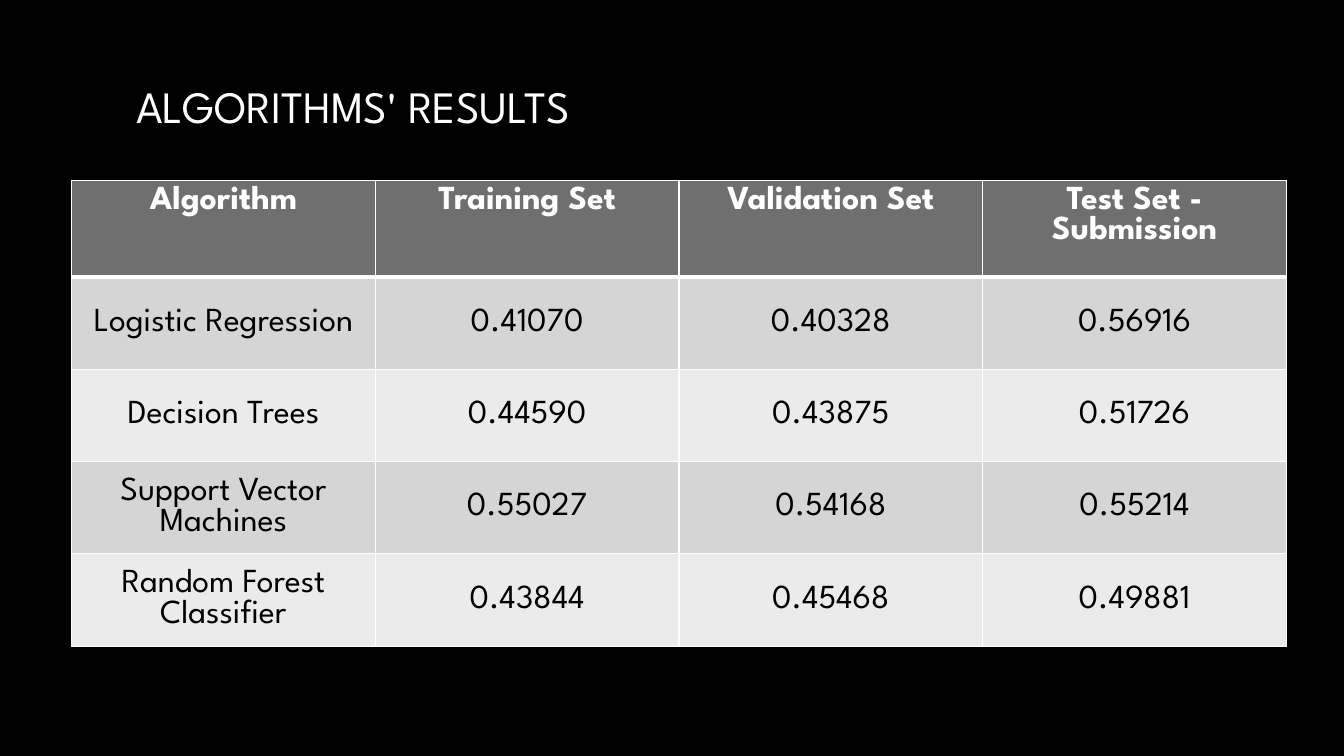
import pptx
import pptx.dml.color
import pptx.enum.text
import pptx.oxml
import pptx.oxml.ns
import pptx.util
from pptx.util import Inches

FONT = "League Spartan"
COLORS = {
    "background": "000000",
    "white": "FFFFFF",
    "black": "000000",
    "header": "6F6F6F",
    "odd_row": "D5D5D5",
    "even_row": "EBEBEB",
}
TITLE_FORMAT = {"name": FONT, "size": pptx.util.Pt(32), "bold": False}
HEADER_FORMAT = {"name": FONT, "size": pptx.util.Pt(24), "bold": True}
BODY_FORMAT = {**HEADER_FORMAT, "bold": False}

RESULTS = [
    ["Algorithm", "Training Set", "Validation Set", "Test Set - Submission"],
    ["Logistic Regression", "0.41070", "0.40328", "0.56916"],
    ["Decision Trees", "0.44590", "0.43875", "0.51726"],
    ["Support Vector Machines", "0.55027", "0.54168", "0.55214"],
    ["Random Forest Classifier", "0.43844", "0.45468", "0.49881"],
]
HEADER_HEIGHT = 0.96


def rgb(color):
    return pptx.dml.color.RGBColor.from_string(COLORS[color])


def write_text(text_frame, text, font_format, color, alignment):
    text_frame.text = text
    paragraph = text_frame.paragraphs[0]
    paragraph.alignment = alignment
    font = paragraph.runs[0].font
    for attribute, value in font_format.items():
        setattr(font, attribute, value)
    font.color.rgb = rgb(color)


def set_borders(cell, widths):
    """Draw white borders; widths maps L, R, T, B, in that order, to points."""
    properties = cell._tc.get_or_add_tcPr()
    for index, (side, width) in enumerate(widths.items()):
        line = pptx.oxml.parse_xml(
            f'<a:ln{side} {pptx.oxml.ns.nsdecls("a")} w="{pptx.util.Pt(width)}">'
            f'<a:solidFill><a:srgbClr val="{COLORS["white"]}"/></a:solidFill>'
            f'</a:ln{side}>'
        )
        properties.insert(index, line)


def add_title(slide, left, top, width, height):
    title = slide.shapes.title
    title.left, title.top = Inches(left), Inches(top)
    title.width, title.height = Inches(width), Inches(height)
    text_frame = title.text_frame
    text_frame.word_wrap = True
    text_frame.vertical_anchor = pptx.enum.text.MSO_ANCHOR.MIDDLE
    write_text(text_frame, "ALGORITHMS' RESULTS", TITLE_FORMAT, "white",
               pptx.enum.text.PP_ALIGN.LEFT)


def add_results_table(slide, left, top, width, height):
    row_count, column_count = len(RESULTS), len(RESULTS[0])
    table = slide.shapes.add_table(
        row_count, column_count,
        Inches(left), Inches(top), Inches(width), Inches(height),
    ).table
    for column in table.columns:
        column.width = Inches(width / column_count)
    body_height = (height - HEADER_HEIGHT) / (row_count - 1)

    for row_index, values in enumerate(RESULTS):
        is_header = row_index == 0
        table.rows[row_index].height = Inches(HEADER_HEIGHT if is_header else body_height)
        if is_header:
            fill, color, font_format = "header", "white", HEADER_FORMAT
            anchor = pptx.enum.text.MSO_ANCHOR.TOP
        else:
            fill = "odd_row" if row_index % 2 else "even_row"
            color, font_format = "black", BODY_FORMAT
            anchor = pptx.enum.text.MSO_ANCHOR.MIDDLE
        borders = {"L": 1, "R": 1, "T": 3 if row_index == 1 else 1,
                   "B": 3 if is_header else 1}
        for column_index, value in enumerate(values):
            cell = table.cell(row_index, column_index)
            cell.fill.solid()
            cell.fill.fore_color.rgb = rgb(fill)
            cell.vertical_anchor = anchor
            write_text(cell.text_frame, value, font_format, color,
                       pptx.enum.text.PP_ALIGN.CENTER)
            set_borders(cell, borders)


def main():
    presentation = pptx.Presentation()
    presentation.slide_width = Inches(13.33)
    presentation.slide_height = Inches(7.5)
    title_only = presentation.slide_layouts[5]
    slide = presentation.slides.add_slide(title_only)
    slide.background.fill.solid()
    slide.background.fill.fore_color.rgb = rgb("background")
    add_title(slide, 1.25, 0.48, 10.83, 1.14)
    add_results_table(slide, 0.71, 1.79, 12.05, 4.62)
    presentation.save("out.pptx")


if __name__ == "__main__":
    main()
